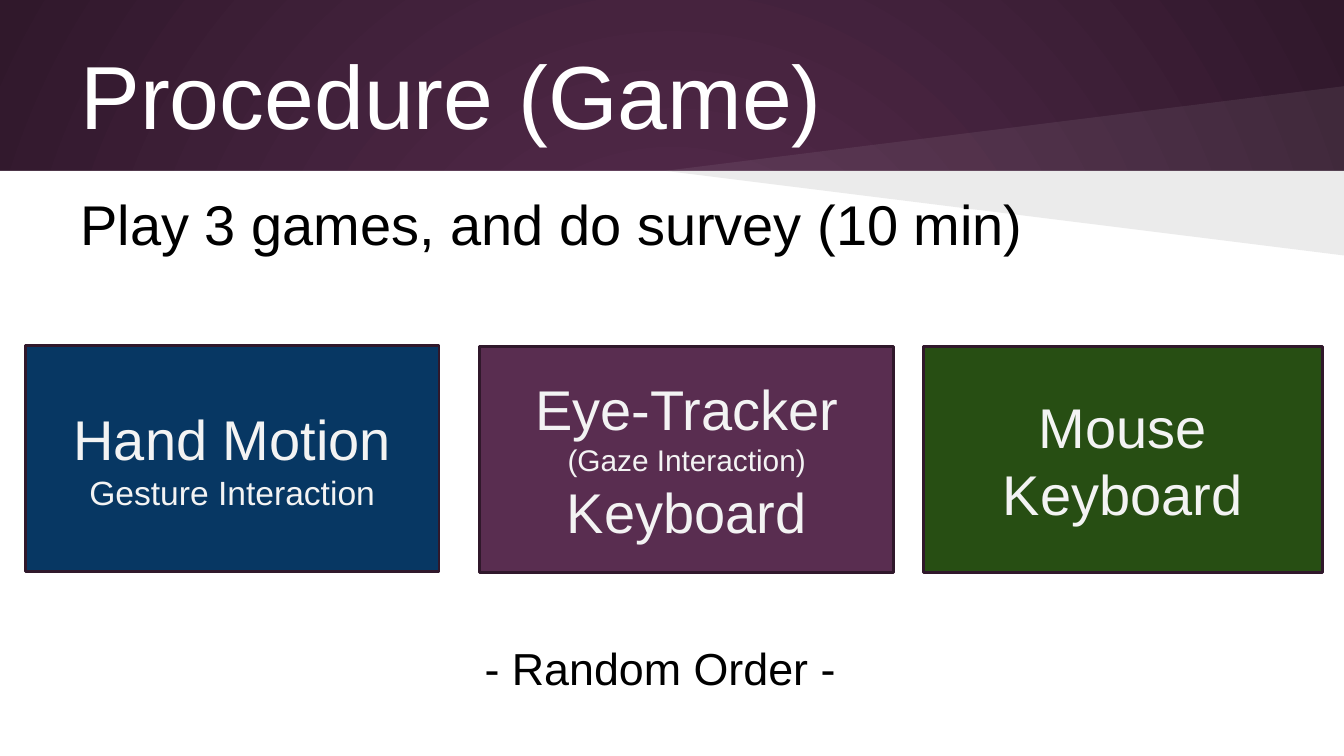
from lxml.etree import SubElement
from pptx import Presentation
from pptx.dml.color import RGBColor
from pptx.enum.shapes import MSO_SHAPE
from pptx.enum.text import MSO_ANCHOR, PP_ALIGN
from pptx.oxml import parse_xml
from pptx.oxml.ns import nsdecls, qn
from pptx.util import Cm, Pt

WHITE = RGBColor(0xFF, 0xFF, 0xFF)
BLACK = RGBColor(0x00, 0x00, 0x00)
PALE = RGBColor(0xF3, 0xF3, 0xF3)
PLUM = RGBColor(0x59, 0x2D, 0x50)
DARK_PLUM = RGBColor(0x30, 0x18, 0x2B)
NAVY = RGBColor(0x07, 0x37, 0x63)
GREEN = RGBColor(0x27, 0x4E, 0x13)

WIDTH, HEIGHT = 25.4, 14.29
HEADER = 3.23  # height of the title band


class SlideBuilder:
    font = "Arial"
    inset = Cm(0.25)

    def __init__(self, slide):
        self.s = slide

    def background(self, inner, outer):
        """Radial gradient from the centre of the slide."""
        fill = self.s.background.fill
        fill.gradient()
        for stop, color, pos in zip(fill.gradient_stops, (inner, outer), (0, 1)):
            stop.color.rgb = color
            stop.position = pos
        grad = self.s.element.find(".//" + qn("a:gradFill"))
        grad.replace(grad.find(qn("a:lin")), parse_xml(
            f'<a:path {nsdecls("a")} path="circle">'
            '<a:fillToRect l="50000" t="50000" r="50000" b="50000"/></a:path>'))

    def paint(self, sp, color, line=None):
        sp.shadow.inherit = False
        sp.fill.solid()
        sp.fill.fore_color.rgb = color
        if line is None:
            sp.line.fill.background()
        else:
            sp.line.color.rgb = line
            sp.line.width = Pt(1.5)

    def fill_text(self, sp, lines, color, align, anchor):
        """Fill a shape with (text, size) lines, one paragraph each."""
        tf = sp.text_frame
        frame = dict(word_wrap=True, vertical_anchor=anchor,
                     margin_left=self.inset, margin_right=self.inset,
                     margin_top=self.inset, margin_bottom=self.inset)
        for name, value in frame.items():
            setattr(tf, name, value)
        for i, (text, size) in enumerate(lines):
            p = tf.paragraphs[0] if i == 0 else tf.add_paragraph()
            p.alignment = align
            r = p.add_run()
            r.text = text
            for name, value in dict(name=self.font, size=Pt(size)).items():
                setattr(r.font, name, value)
            r.font.color.rgb = color

    def box(self, x, y, w, h, color, line=None, lines=()):
        sp = self.s.shapes.add_shape(MSO_SHAPE.RECTANGLE, Cm(x), Cm(y), Cm(w), Cm(h))
        self.paint(sp, color, line)
        self.fill_text(sp, lines, PALE, PP_ALIGN.CENTER, MSO_ANCHOR.MIDDLE)

    def text(self, x, y, w, h, text, size, color=BLACK,
             align=PP_ALIGN.LEFT, anchor=MSO_ANCHOR.MIDDLE):
        sp = self.s.shapes.add_textbox(Cm(x), Cm(y), Cm(w), Cm(h))
        self.fill_text(sp, [(text, size)], color, align, anchor)

    def wedge(self, points, color, opacity):
        start, *rest = [(Cm(x), Cm(y)) for x, y in points]
        fb = self.s.shapes.build_freeform(*start)
        fb.add_line_segments(rest)
        sp = fb.convert_to_shape()
        self.paint(sp, color)
        clr = sp.element.spPr.find(".//" + qn("a:srgbClr"))
        SubElement(clr, qn("a:alpha"), val=str(opacity * 1000))


def main():
    prs = Presentation()
    prs.slide_width, prs.slide_height = Cm(WIDTH), Cm(HEIGHT)
    b = SlideBuilder(prs.slides.add_slide(prs.slide_layouts[6]))

    # Backdrop: dark band above a white page, with mirrored wedges
    b.background(PLUM, DARK_PLUM)
    b.box(0, HEADER, WIDTH, HEIGHT - HEADER, WHITE)
    for rise, color, opacity in ((-1.6, WHITE, 7), (1.6, BLACK, 8)):
        b.wedge([(WIDTH, HEADER), (12.57, HEADER), (WIDTH, HEADER + rise)],
                color, opacity)

    # Title and instruction
    b.text(1.27, 0.58, 22.86, 2.39, "Procedure (Game)", 48, WHITE)
    b.text(1.27, 3.33, 22.86, 10.34, "Play 3 games, and do survey (10 min)", 30,
           anchor=MSO_ANCHOR.TOP)

    # Three game conditions
    conditions = [
        (0.48, 6.53, 7.82, NAVY, [("Hand Motion", 30), ("Gesture Interaction", 18)]),
        (9.07, 6.55, 7.82, PLUM, [("Eye-Tracker", 30), ("(Gaze Interaction)", 16),
                                  ("Keyboard", 30)]),
        (17.45, 6.55, 7.54, GREEN, [("Mouse Keyboard", 30)]),
    ]
    for x, y, w, color, lines in conditions:
        b.box(x, y, w, 4.27, color, DARK_PLUM, lines)

    # Order note
    b.text(0.64, 11.43, 23.67, 2.39, "- Random Order -", 24, align=PP_ALIGN.CENTER)

    prs.save("out.pptx")


if __name__ == "__main__":
    main()
